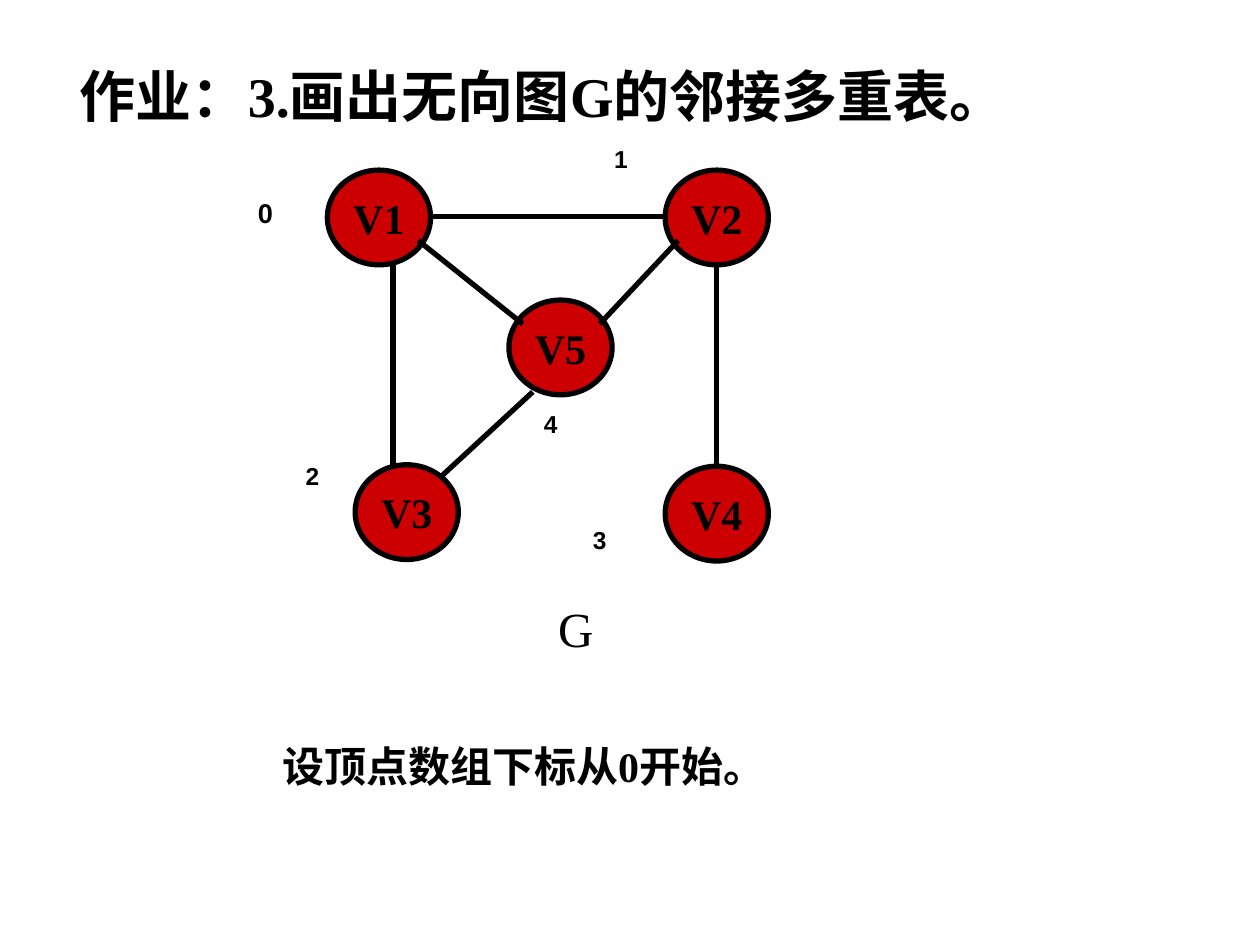
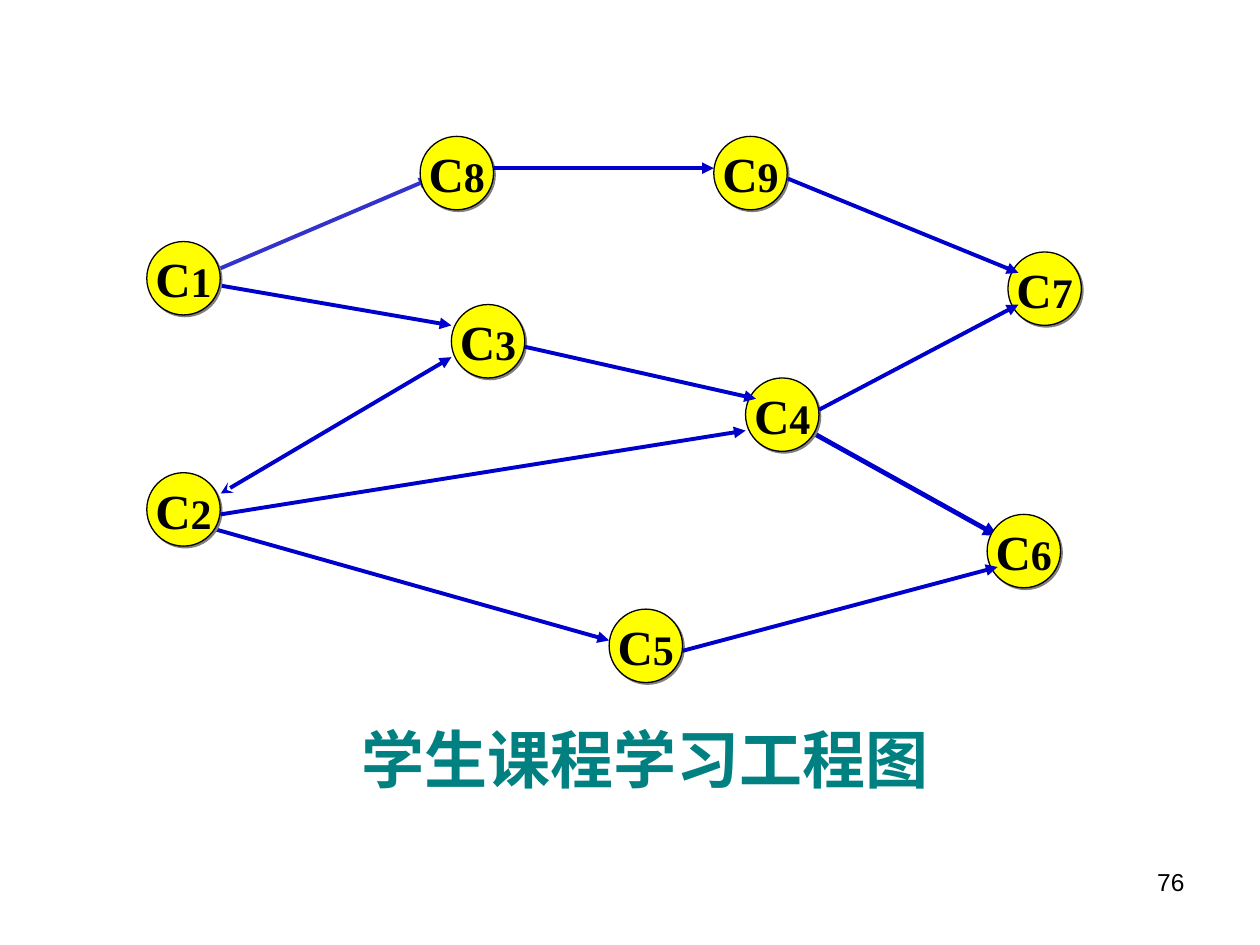
from lxml import etree
from pptx import Presentation, util as u
from pptx.dml.color import RGBColor
from pptx.enum import lang, shapes, text
from pptx.oxml import ns

COLORS = {"ink": "000000", "vertex": "CC0000", "course": "FFFF00", "arrow": "0000CC",
          "first_arrow": "3333CC", "caption": "008080", "shadow": "808080"}
SERIF, SANS = "Times New Roman", "Arial"
LEFT, CENTER, RIGHT = text.PP_ALIGN.LEFT, text.PP_ALIGN.CENTER, text.PP_ALIGN.RIGHT
TOP, MIDDLE = text.MSO_ANCHOR.TOP, text.MSO_ANCHOR.MIDDLE
FIT, FIXED = text.MSO_AUTO_SIZE.SHAPE_TO_FIT_TEXT, text.MSO_AUTO_SIZE.NONE


def write(box, spans, color="ink", align=LEFT, anchor=TOP, wrap=False, fit=FIXED,
          name=SERIF, bold=True):
    """Fill a box with one paragraph made of (words, size) spans."""
    frame = box.text_frame
    for key, value in {"word_wrap": wrap, "auto_size": fit, "vertical_anchor": anchor}.items():
        setattr(frame, key, value)
    para = frame.paragraphs[0]
    para.alignment = align
    for words, size in spans:
        span = para.add_run()
        span.text = words
        style = {"name": name, "size": u.Pt(size), "bold": bold,
                 "language_id": lang.MSO_LANGUAGE_ID.SIMPLIFIED_CHINESE}
        for key, value in style.items():
            setattr(span.font, key, value)
        span.font.color.rgb = RGBColor.from_string(COLORS[color])


def connect(page, ends, color, width, head=None, tail=None):
    """Draw a straight line between two points, with optional arrowheads."""
    link = page.shapes.add_connector(shapes.MSO_CONNECTOR.STRAIGHT, *map(u.Cm, ends))
    link.line.width = u.Pt(width)
    link.line.color.rgb = RGBColor.from_string(COLORS[color])
    for tag, kind in (("a:headEnd", head), ("a:tailEnd", tail)):
        if kind:
            etree.SubElement(link.line._ln, ns.qn(tag), type=kind)
    etree.SubElement(link._element.spPr, ns.qn("a:effectLst"))


deck = Presentation()
deck.slide_width, deck.slide_height = u.Cm(25.4), u.Cm(19.05)
title_only = deck.slide_layouts[5]

# Titles of both slides
pages = []
for words, size, color, place in [
    ("作业：3.画出无向图G的邻接多重表。", 32, "ink", (1.35, 1.12, 20.27, 1.63)),
    ("学生课程学习工程图", 36, "caption", (7.04, 14.4, 11.94, 1.78)),
]:
    page = deck.slides.add_slide(title_only)
    title = page.shapes.title
    for key, value in zip(("left", "top", "width", "height"), place):
        setattr(title, key, u.Cm(value))
    write(title, [(words, size)], color, fit=FIT)
    pages.append(page)
graph_page, course_page = pages

# Undirected graph: vertices
vertices = {"V1": (6.6, 3.43), "V3": (7.16, 9.37), "V5": (10.26, 6.05),
            "V4": (13.41, 9.4), "V2": (13.41, 3.43)}
for label, (left, top) in vertices.items():
    vertex = graph_page.shapes.add_shape(
        shapes.MSO_SHAPE.OVAL, *map(u.Cm, (left, top, 2.08, 1.91)))
    vertex.shadow.inherit = False
    vertex.fill.solid()
    vertex.fill.fore_color.rgb = RGBColor.from_string(COLORS["vertex"])
    vertex.line.color.rgb = RGBColor.from_string(COLORS["ink"])
    vertex.line.width = u.Pt(3)
    write(vertex, [(label, 24)], align=CENTER, anchor=MIDDLE)

# Undirected graph: edges
for ends in [
    (7.92, 5.33, 7.92, 9.4),
    (8.69, 4.37, 13.41, 4.37),
    (14.45, 5.33, 14.45, 9.4),
    (8.43, 4.85, 10.54, 6.53),
    (13.67, 4.85, 12.09, 6.53),
    (10.74, 7.9, 8.92, 9.58),
]:
    connect(graph_page, ends, "ink", 3)

# Graph name and note
for words, size, bold, place in [
    ("G", 28, False, (11, 11.94, 1.22, 1.45)),
    ("设顶点数组下标从0开始。", 24, True, (5.44, 14.81, 10.64, 1.27)),
]:
    box = graph_page.shapes.add_textbox(*map(u.Cm, place))
    write(box, [(words, size)], fit=FIT, bold=bold)

# Array index beside each vertex
index_places = [(4.95, 3.84, 0.76, 0.97), (11.3, 2.77, 2.44, 0.91), (5.08, 9.17, 2.44, 0.91),
                (10.87, 10.46, 2.44, 0.91), (9.88, 8.13, 2.44, 0.91)]
for index, place in enumerate(index_places):
    box = graph_page.shapes.add_textbox(*map(u.Cm, place))
    write(box, [(str(index), 14 if index else 15.5)], align=CENTER, wrap=True, name=SANS)

# Page number
number = course_page.shapes.add_textbox(*map(u.Cm, (18.21, 17.35, 5.92, 1.32)))
write(number, [("76", 14)], align=RIGHT, wrap=True, name=SANS, bold=False)

# Course arrows that run behind the nodes
for ends, color, width, head in [
    ((16.3, 8.68, 20.11, 10.8), "arrow", 2.75, None),
    ((4.02, 10.58, 12.28, 12.91), "arrow", 2.25, None),
    ((4.45, 9.95, 9.1, 7.2), "arrow", 2.25, "stealth"),
    ((4.23, 5.72, 9.1, 6.56), "arrow", 2.25, None),
    ((4.23, 5.5, 8.68, 3.6), "first_arrow", 2.25, None),
]:
    connect(course_page, ends, color, width, head, "triangle")

# Course nodes with a small offset shadow
courses = {"8": (8.47, 2.75), "3": (9.1, 6.14), "5": (12.28, 12.28), "4": (15.03, 7.62),
           "9": (14.39, 2.75), "6": (19.9, 10.37), "7": (20.32, 5.08), "1": (2.96, 4.87),
           "2": (2.96, 9.53)}
for digit, (left, top) in courses.items():
    course = course_page.shapes.add_shape(
        shapes.MSO_SHAPE.OVAL, *map(u.Cm, (left, top, 1.48, 1.48)))
    course.fill.solid()
    course.fill.fore_color.rgb = RGBColor.from_string(COLORS["course"])
    course.line.color.rgb = RGBColor.from_string(COLORS["ink"])
    course.line.width = u.Pt(0.75)
    course.shadow.inherit = False
    effects = course._element.spPr.find(ns.qn("a:effectLst"))
    shadow = etree.SubElement(effects, ns.qn("a:outerShdw"), dist=str(u.Pt(1.4)),
                              dir=str(45 * 60000), algn="ctr", rotWithShape="0")
    etree.SubElement(shadow, ns.qn("a:srgbClr"), val=COLORS["shadow"])
    write(course, [("C", 28), (digit, 24)], align=CENTER, anchor=MIDDLE)

# Course arrows that run in front of the nodes
for ends in [
    (9.95, 3.39, 14.39, 3.39),
    (10.58, 6.99, 15.24, 8.04),
    (4.45, 10.37, 15.03, 8.68),
    (15.88, 3.6, 20.53, 5.5),
    (16.51, 8.26, 20.53, 6.14),
    (13.76, 13.12, 20.11, 11.43),
]:
    connect(course_page, ends, "arrow", 2.25, tail="triangle")

deck.save("out.pptx")
